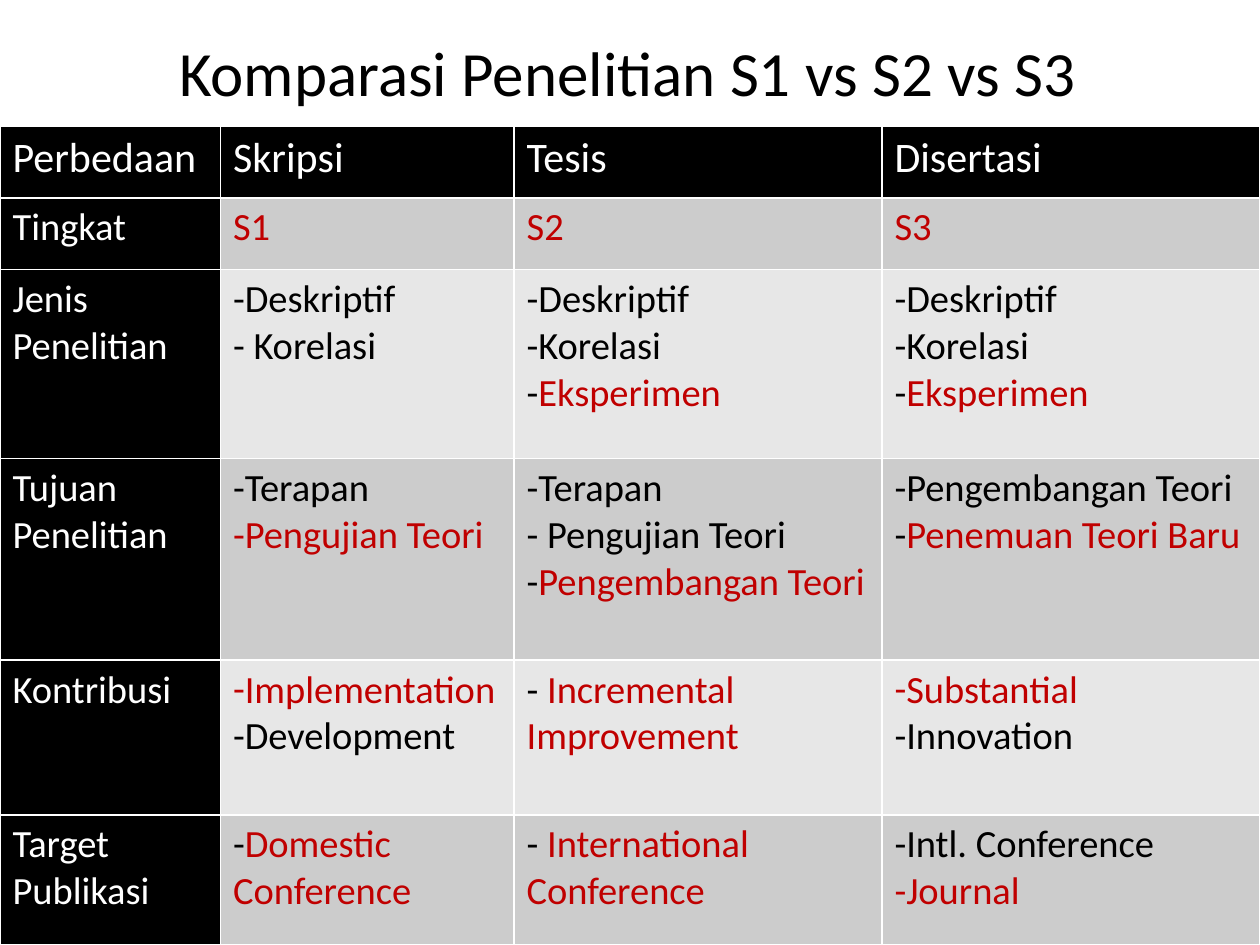
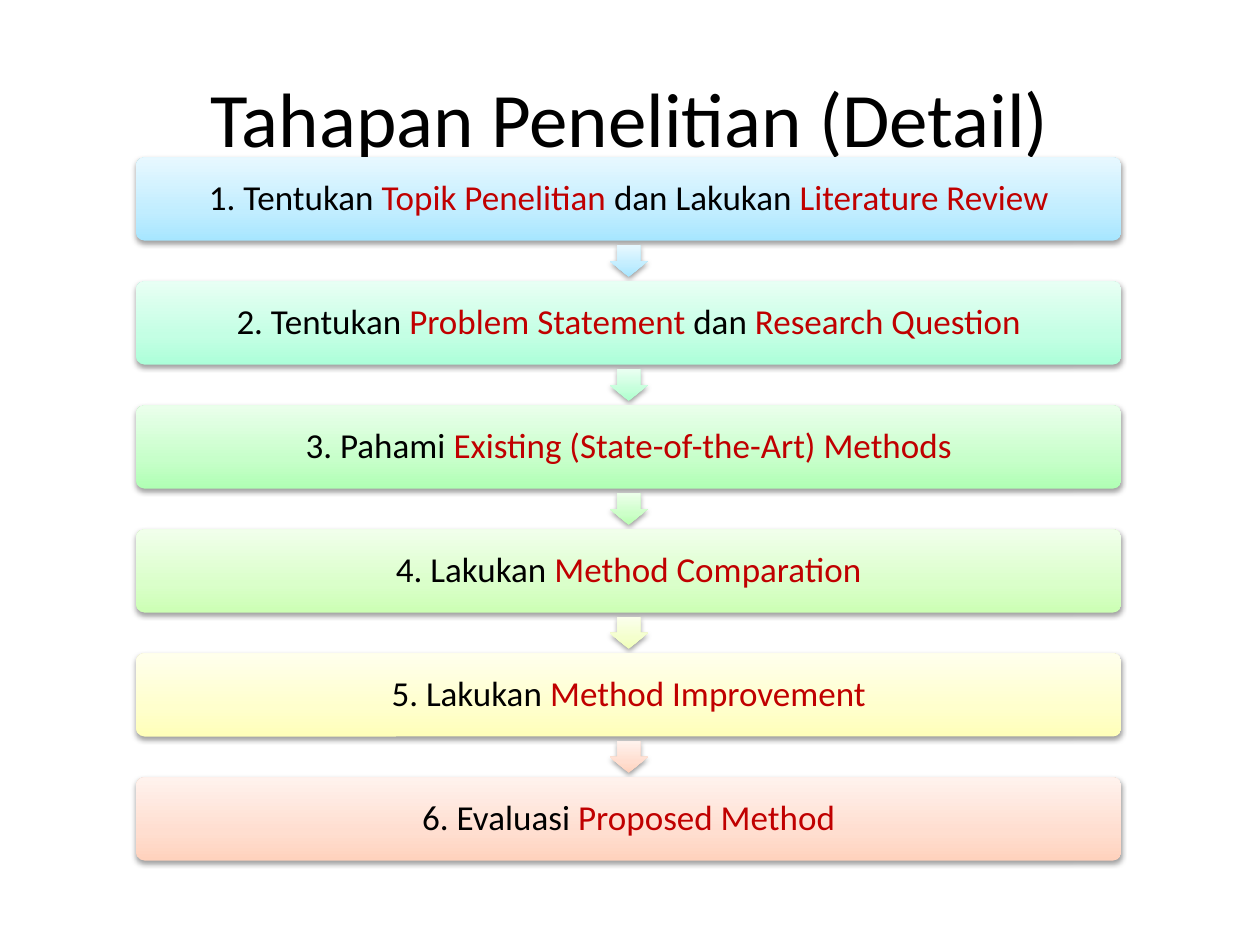
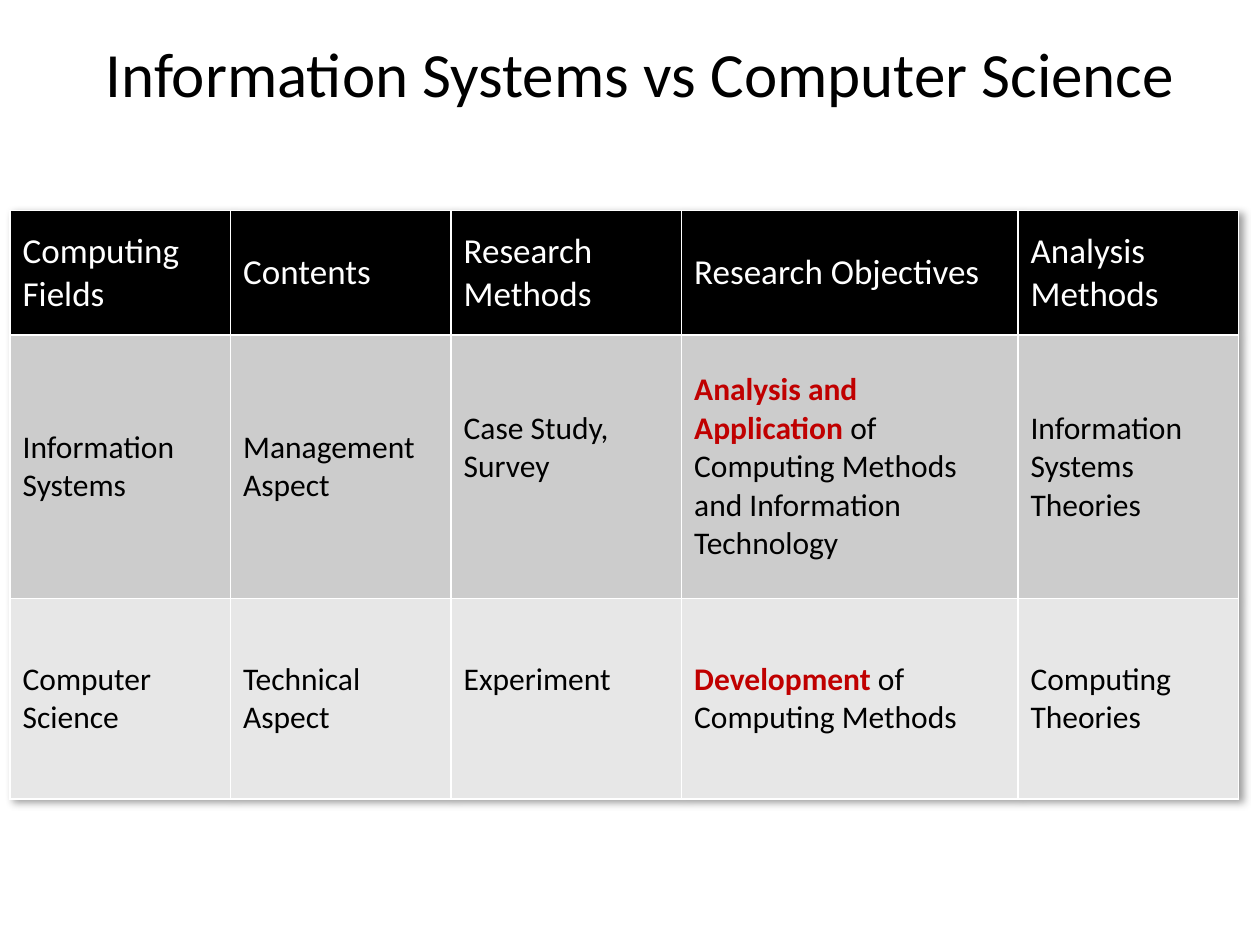
from dataclasses import dataclass

from lxml.etree import SubElement
from pptx import Presentation
from pptx.dml.color import RGBColor
from pptx.enum.shapes import MSO_SHAPE as Preset
from pptx.enum.text import MSO_ANCHOR as Anchor, PP_ALIGN as Align
from pptx.oxml.ns import qn
from pptx.util import Inches, Pt

FONT = "Calibri"
BLACK = RGBColor(0x00, 0x00, 0x00)
WHITE = RGBColor(0xFF, 0xFF, 0xFF)
RED = RGBColor(0xC0, 0x00, 0x00)
BAND_DARK = RGBColor(0xCC, 0xCC, 0xCC)
BAND_LIGHT = RGBColor(0xE7, 0xE7, 0xE7)
TITLE_ONLY = 5


@dataclass
class Frame:
    """Position and size in inches."""
    left: float
    top: float
    width: float
    height: float

    def lengths(self):
        return [Inches(v) for v in (self.left, self.top, self.width, self.height)]


@dataclass
class TableDesign:
    frame: Frame
    columns: list[float]
    rows: list[float]
    cells: list[list[str]]
    header_size: int
    body_size: int
    anchor: Anchor = Anchor.TOP
    dark_first_column: bool = False
    bold_accent: bool = False


@dataclass
class Step:
    text: str
    gradient: tuple[str, str, str]
    arrow_gradient: tuple[str, str, str] | None = None


# In all texts, *...* marks the red accent and a leading • a dash bullet.
RESEARCH_LEVELS = TableDesign(
    frame=Frame(0, 1, 10, 6.5),
    columns=[1.75, 2.33, 2.92, 3],
    rows=[0.57, 0.57, 1.5, 1.6, 1.23, 1.03],
    header_size=24,
    body_size=22,
    dark_first_column=True,
    cells=[
        ["Perbedaan", "Skripsi", "Tesis", "Disertasi"],
        ["Tingkat", "*S1*", "*S2*", "*S3*"],
        ["Jenis Penelitian", "-Deskriptif\n- Korelasi",
         "-Deskriptif\n-Korelasi\n-*Eksperimen*",
         "-Deskriptif\n-Korelasi\n-*Eksperimen*"],
        ["Tujuan Penelitian", "•Terapan\n•*Pengujian Teori*",
         "-Terapan\n- Pengujian Teori\n-*Pengembangan Teori*",
         "-Pengembangan Teori\n-*Penemuan Teori Baru*"],
        ["Kontribusi", "•*Implementation*\n•Development",
         "- *Incremental Improvement*", "•*Substantial*\n•Innovation"],
        ["Target Publikasi", "-*Domestic Conference*",
         "- *International Conference*", "•Intl. Conference\n•*Journal*"],
    ],
)

COMPUTING_FIELDS = TableDesign(
    frame=Frame(0.08, 1.67, 9.75, 4.68),
    columns=[1.75, 1.75, 1.83, 2.67, 1.75],
    rows=[0.99, 2.09, 1.59],
    header_size=20,
    body_size=18,
    anchor=Anchor.MIDDLE,
    bold_accent=True,
    cells=[
        ["Computing Fields", "Contents", "Research Methods",
         "Research Objectives", "Analysis Methods"],
        ["Information Systems", "Management Aspect", "Case Study, Survey",
         "*Analysis and Application *of Computing Methods and Information Technology",
         "Information Systems\nTheories"],
        ["Computer Science", "Technical Aspect", "Experiment",
         "*Development *of Computing Methods", "Computing Theories"],
    ],
)
METHODS_COLUMN = 2

SKY = ("A7E6FF", "C1EDFF", "E7F8FF")
PEACH = ("FFD2BD", "FFDED0", "FFF2ED")
STEPS = [
    Step("1. Tentukan *Topik Penelitian *dan Lakukan *Literature Review*", SKY, SKY),
    Step("2. Tentukan *Problem Statement *dan *Research Question*",
         ("ACFFD9", "C4FFE4", "E8FFF4"), ("ADFFCD", "C5FFDB", "E9FFF1")),
    Step("3. Pahami *Existing (State-of-the-Art) Methods*",
         ("B0FFB4", "C7FFCA", "EAFFEB"), ("B9FFB2", "CDFFC9", "ECFFEA")),
    Step("4. Lakukan *Method Comparation*",
         ("CCFFB4", "DAFFCA", "F1FFEB"), ("F0FFB8", "F4FFCD", "FBFFEC")),
    Step("5. Lakukan *Method Improvement*", ("FFFFB9", "FFFFCD", "FFFFEC"), PEACH),
    Step("6. Evaluasi *Proposed Method*", PEACH),
]
STEP_FRAME = Frame(1.08, 1.25, 7.82, 0.66)
LAST_STEP_TOP = 6.17
ARROW_WIDTH, ARROW_HEIGHT = 0.3, 0.25


def write_text(text_frame, text: str, *, size: int, color: RGBColor = BLACK,
               align: Align = Align.LEFT, bold_accent: bool = False,
               line_spacing: float | None = None) -> None:
    text_frame.word_wrap = True
    for index, line in enumerate(text.split("\n")):
        paragraph = text_frame.paragraphs[0] if index == 0 else text_frame.add_paragraph()
        paragraph.alignment = align
        if line_spacing:
            paragraph.line_spacing = line_spacing
        if line.startswith("•"):
            line = line[1:]
            properties = paragraph._p.get_or_add_pPr()
            properties.set("marL", "0")
            properties.set("indent", "0")
            SubElement(properties, qn("a:buFont"), typeface=FONT)
            SubElement(properties, qn("a:buChar"), char="-")
        for part, words in enumerate(line.split("*")):
            if not words:
                continue
            accent = part % 2 == 1
            run = paragraph.add_run()
            run.text = words
            run.font.name = FONT
            run.font.size = Pt(size)
            run.font.bold = accent and bold_accent
            run.font.color.rgb = RED if accent else color


def add_shadow(effects, *, blur: float, distance: float, angle: int, opacity: int) -> None:
    shadow = SubElement(effects, qn("a:outerShdw"), blurRad=str(Pt(blur)),
                        dist=str(Pt(distance)), dir=str(angle * 60000),
                        algn="ctr", rotWithShape="0")
    color = SubElement(shadow, qn("a:srgbClr"), val=str(BLACK))
    SubElement(color, qn("a:alpha"), val=str(opacity * 1000))


def add_titled_slide(presentation, text: str, frame: Frame, size: int):
    slide = presentation.slides.add_slide(presentation.slide_layouts[TITLE_ONLY])
    title = slide.shapes.title
    title.left, title.top, title.width, title.height = frame.lengths()
    title.text_frame.vertical_anchor = Anchor.MIDDLE
    write_text(title.text_frame, text, size=size, align=Align.CENTER)
    return slide


def add_borders(cell) -> None:
    properties = cell._tc.get_or_add_tcPr()
    for side in "LRTB":
        line = SubElement(properties, qn(f"a:ln{side}"), w=str(Pt(1)))
        fill = SubElement(line, qn("a:solidFill"))
        SubElement(fill, qn("a:srgbClr"), val=str(WHITE))


def add_comparison_table(slide, design: TableDesign):
    table = slide.shapes.add_table(len(design.rows), len(design.columns),
                                   *design.frame.lengths()).table
    table.first_row = table.horz_banding = False
    for column, width in zip(table.columns, design.columns):
        column.width = Inches(width)
    for row, height in zip(table.rows, design.rows):
        row.height = Inches(height)
    for row_index, texts in enumerate(design.cells):
        header = row_index == 0
        band = BAND_DARK if row_index % 2 else BAND_LIGHT
        for column_index, text in enumerate(texts):
            dark = header or (design.dark_first_column and column_index == 0)
            cell = table.cell(row_index, column_index)
            add_borders(cell)
            cell.fill.solid()
            cell.fill.fore_color.rgb = BLACK if dark else band
            cell.vertical_anchor = design.anchor
            write_text(cell.text_frame, text,
                       size=design.header_size if header else design.body_size,
                       color=WHITE if dark else BLACK,
                       bold_accent=design.bold_accent)
    return table


def add_gradient_shape(slide, preset: Preset, box: tuple[int, int, int, int],
                       colors: tuple[str, str, str], adjustments: list[float]):
    shape = slide.shapes.add_shape(preset, *box)
    for index, value in enumerate(adjustments):
        shape.adjustments[index] = value
    shape.line.fill.background()
    shape.fill.gradient()
    shape.fill.gradient_angle = 90
    properties = shape._element.spPr
    stops = properties.find(qn("a:gradFill")).find(qn("a:gsLst"))
    for stop in list(stops):
        stops.remove(stop)
    for position, color in zip((0, 35, 100), colors):
        stop = SubElement(stops, qn("a:gs"), pos=str(position * 1000))
        SubElement(stop, qn("a:srgbClr"), val=color)
    shape.shadow.inherit = False
    add_shadow(properties.find(qn("a:effectLst")),
               blur=3.1, distance=1.6, angle=90, opacity=38)
    return shape


def add_steps(slide) -> None:
    left, first_top, width, height = STEP_FRAME.lengths()
    pitch = (Inches(LAST_STEP_TOP) - first_top) // (len(STEPS) - 1)
    arrow_width, arrow_height = Inches(ARROW_WIDTH), Inches(ARROW_HEIGHT)
    arrow_left = left + (width - arrow_width) // 2
    arrow_offset = height + (pitch - height - arrow_height) // 2
    for index, step in enumerate(STEPS):
        top = first_top + index * pitch
        bar = add_gradient_shape(slide, Preset.ROUNDED_RECTANGLE,
                                 (left, top, width, height), step.gradient, [0.1])
        bar.text_frame.vertical_anchor = Anchor.MIDDLE
        write_text(bar.text_frame, step.text, size=20, align=Align.CENTER,
                   line_spacing=0.9)
        if step.arrow_gradient:
            add_gradient_shape(slide, Preset.DOWN_ARROW,
                               (arrow_left, top + arrow_offset, arrow_width, arrow_height),
                               step.arrow_gradient, [0.6, 0.5])


def main() -> None:
    presentation = Presentation()
    presentation.slide_width = Inches(10)
    presentation.slide_height = Inches(7.5)

    # Research levels
    slide = add_titled_slide(presentation, "Komparasi Penelitian S1 vs S2 vs S3",
                             Frame(0.3, 0.21, 9.36, 0.71), 36)
    add_comparison_table(slide, RESEARCH_LEVELS)

    # Research steps
    slide = add_titled_slide(presentation, "Tahapan Penelitian (Detail)",
                             Frame(0.5, 0.3, 9, 1.25), 44)
    add_steps(slide)

    # Computing fields, with a shadow and raised text in the methods column
    slide = add_titled_slide(presentation, "Information Systems vs Computer Science",
                             Frame(0.33, 0.22, 9.5, 0.7), 36)
    table = add_comparison_table(slide, COMPUTING_FIELDS)
    for row_index in range(1, len(COMPUTING_FIELDS.rows)):
        table.cell(row_index, METHODS_COLUMN).margin_bottom = Inches(0.35)
    table_properties = table._tbl.tblPr
    effects = SubElement(table_properties, qn("a:effectLst"))
    table_properties.insert(0, effects)
    add_shadow(effects, blur=4, distance=3, angle=45, opacity=40)

    presentation.save("out.pptx")


if __name__ == "__main__":
    main()
